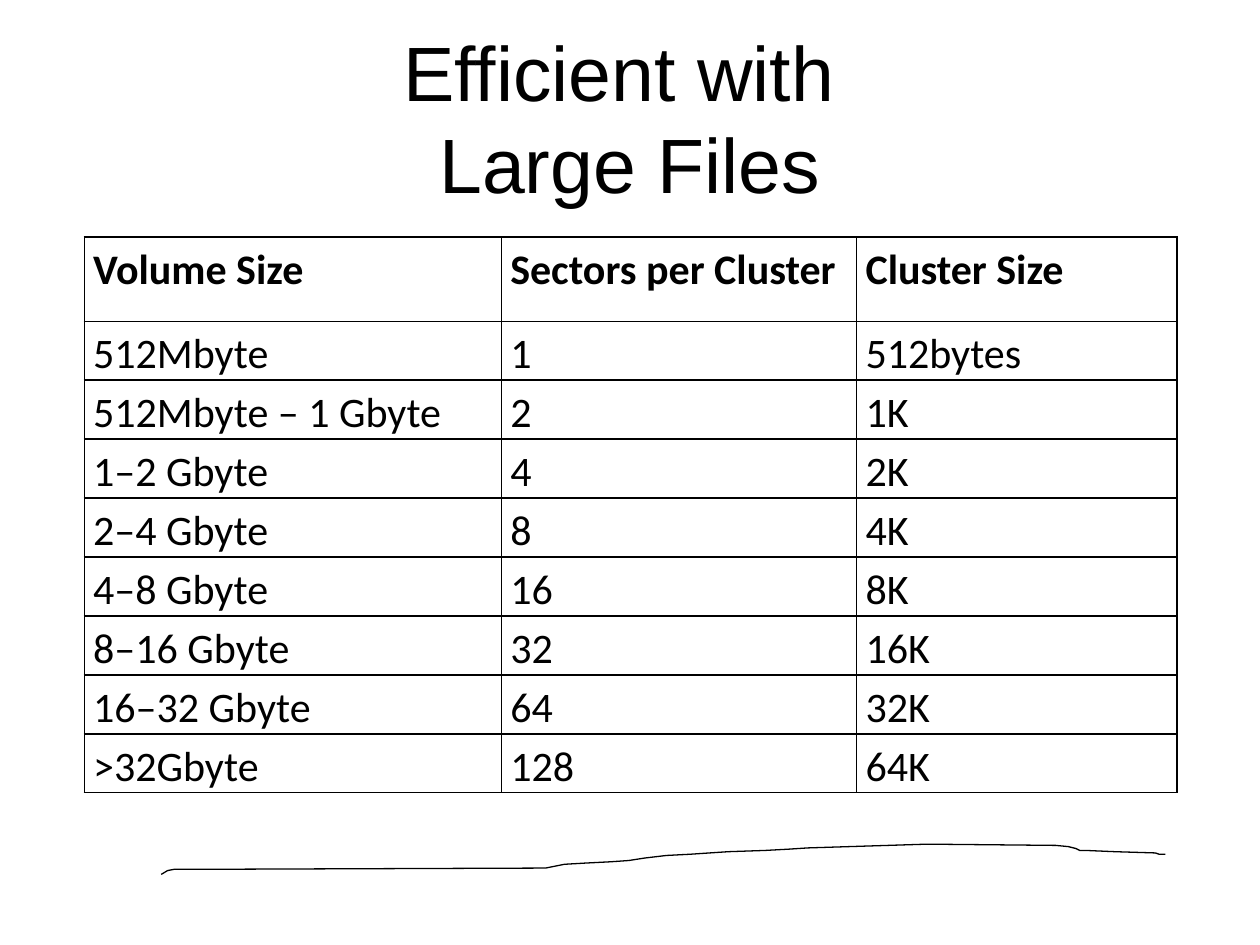
from lxml import etree
from pptx import Presentation, util as u
from pptx.dml.color import RGBColor
from pptx.enum import text
from pptx.oxml.ns import qn

BLACK = RGBColor(0x00, 0x00, 0x00)
COLUMNS, ROWS = 100, 75

HEADINGS = ["Volume Size", "Sectors per Cluster", "Cluster Size"]
CLUSTERS = [
    ("512Mbyte", "1", "512bytes"),
    ("512Mbyte – 1 Gbyte", "2", "1K"),
    ("1–2 Gbyte", "4", "2K"),
    ("2–4 Gbyte", "8", "4K"),
    ("4–8 Gbyte", "16", "8K"),
    ("8–16 Gbyte", "32", "16K"),
    ("16–32 Gbyte", "64", "32K"),
    (">32Gbyte", "128", "64K"),
]
STROKE = [
    (12.8, 69.4), (13.3, 69.1), (13.8, 69), (14.9, 69), (43.3, 68.9),
    (44.8, 68.6), (46.5, 68.5), (48.5, 68.4), (49.9, 68.3), (51.2, 68.1),
    (52.9, 67.9), (54.8, 67.8), (57.8, 67.6), (60.7, 67.5), (62.6, 67.4),
    (64.1, 67.3), (73.6, 67), (83.8, 67.1), (84.8, 67.2), (85.4, 67.35),
    (85.7, 67.5), (86.2, 67.5), (88.5, 67.6), (91.7, 67.7), (92, 67.8),
    (92.5, 67.8),
]


def assign(target, values):
    """Set each attribute named in a dict."""
    for name, value in values.items():
        setattr(target, name, value)


class Page:
    """Holds the style and the current slide."""

    TITLE = dict(name="Arial", size=u.Pt(44), bold=False)
    BODY = dict(name="Calibri", size=u.Pt(24), bold=False)
    HEADING = dict(BODY, bold=True)
    INSETS = dict(margin_left=u.Inches(0.07), margin_right=u.Inches(0.07),
                  margin_top=0, margin_bottom=0)

    def __init__(self, deck):
        """Add a title-only slide to the deck."""
        self.slide = deck.slides.add_slide(deck.slide_layouts[5])
        self.column = deck.slide_width / COLUMNS
        self.row = deck.slide_height / ROWS

    def across(self, columns):
        """Turn grid columns into a length."""
        return u.Emu(round(columns * self.column))

    def down(self, rows):
        """Turn grid rows into a length."""
        return u.Emu(round(rows * self.row))

    def place(self, left, top, width, height):
        """Turn a grid box into a dict of lengths."""
        return dict(left=self.across(left), top=self.down(top),
                    width=self.across(width), height=self.down(height))

    def font(self, para, style):
        """Format every span of a paragraph."""
        for span in para.runs:
            assign(span.font, style)
            span.font.color.rgb = BLACK

    def title(self, words, box):
        """Fill and place the title."""
        holder = self.slide.shapes.title
        assign(holder, self.place(*box))
        frame = holder.text_frame
        assign(frame, dict(text=words, word_wrap=True,
                           vertical_anchor=text.MSO_ANCHOR.MIDDLE,
                           auto_size=text.MSO_AUTO_SIZE.NONE))
        para = frame.paragraphs[0]
        para.alignment = text.PP_ALIGN.CENTER
        self.font(para, self.TITLE)

    def borders(self, cell, points):
        """Draw the four sides of a cell."""
        properties = cell._tc.get_or_add_tcPr()
        for index, side in enumerate(("lnL", "lnR", "lnT", "lnB")):
            line = etree.Element(qn("a:" + side), w=str(u.Pt(points)))
            fill = etree.SubElement(line, qn("a:solidFill"))
            etree.SubElement(fill, qn("a:srgbClr"), val=str(BLACK))
            properties.insert(index, line)

    def table(self, records, box, widths, heights):
        """Add a ruled table whose first record is the heading."""
        holder = self.slide.shapes.add_table(
            len(records), len(widths), **self.place(*box))
        grid = holder.table
        assign(grid, dict(first_row=False, horz_banding=False))
        for column, width in zip(grid.columns, widths):
            column.width = self.across(width)
        for row, height, record in zip(grid.rows, heights, records):
            row.height = self.down(height)
            style = self.HEADING if record is records[0] else self.BODY
            for cell, words in zip(row.cells, record):
                assign(cell, dict(self.INSETS, text=words))
                cell.fill.background()
                self.borders(cell, 1)
                para = cell.text_frame.paragraphs[0]
                para.line_spacing = 1.15
                self.font(para, style)

    def stroke(self, points, weight):
        """Add an open freehand line."""
        spots = [(self.across(x), self.down(y)) for x, y in points]
        builder = self.slide.shapes.build_freeform(*spots[0])
        builder.add_line_segments(spots[1:], close=False)
        shape = builder.convert_to_shape()
        shape.shadow.inherit = False
        shape.fill.background()
        shape.line.color.rgb = BLACK
        shape.line.width = u.Pt(weight)


def main():
    """Build the slide and save it."""
    deck = Presentation()
    assign(deck, dict(slide_width=u.Inches(10), slide_height=u.Inches(7.5)))
    page = Page(deck)
    page.stroke(STROKE, 0.75)
    page.title("Efficient with \vLarge Files", (5, 3, 90, 12.5))
    page.table([HEADINGS] + CLUSTERS, (6.7, 18.8, 86.7, 41.3),
               widths=(33.1, 28.2, 25.4),
               heights=[6.7] + [3.3] * len(CLUSTERS))
    deck.save("out.pptx")


main()
